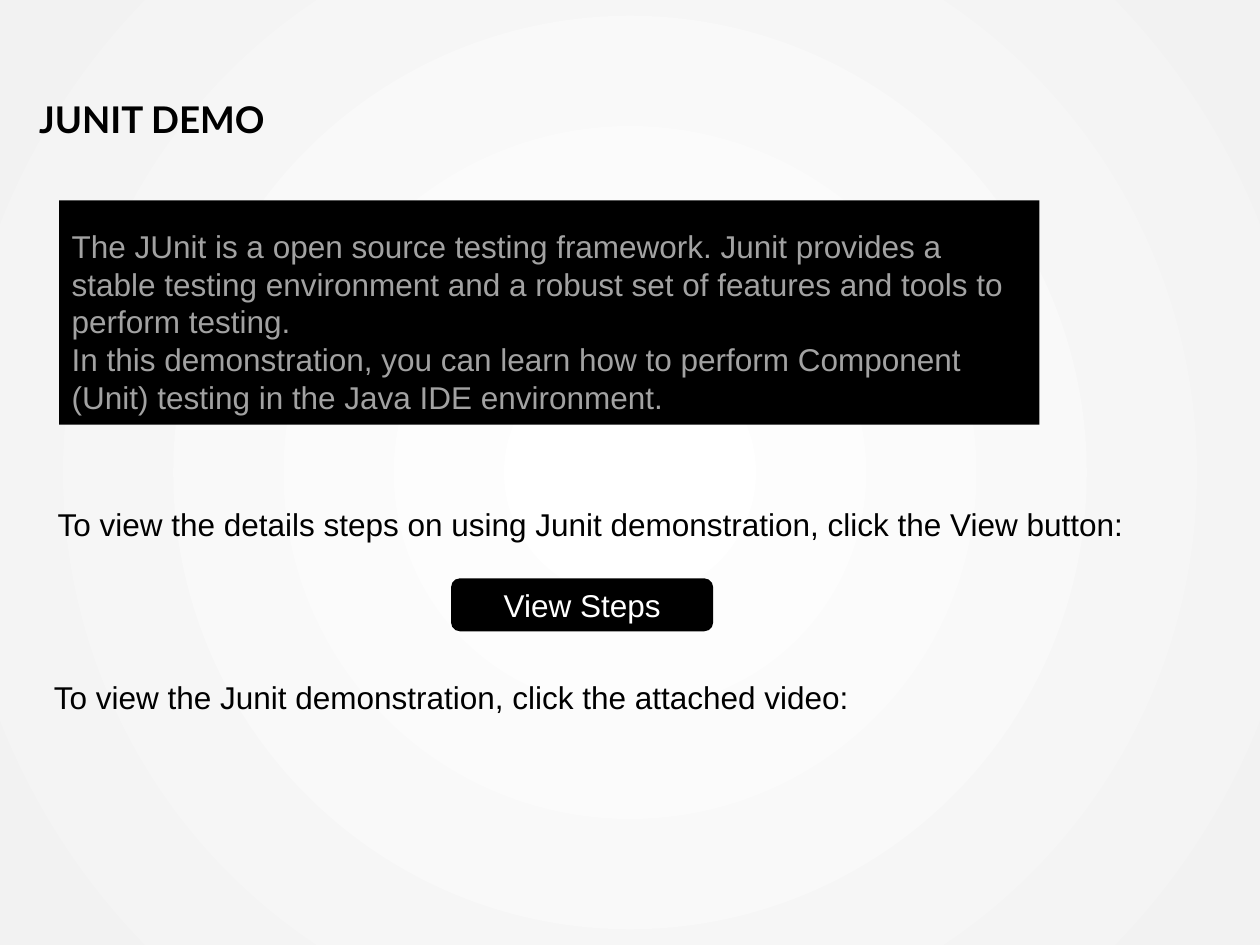
from lxml.etree import SubElement
from pptx import Presentation
from pptx.dml.color import RGBColor
from pptx.enum.shapes import MSO_SHAPE as Shape
from pptx.enum.text import MSO_ANCHOR as Anchor, MSO_AUTO_SIZE as AutoSize, PP_ALIGN as Align
from pptx.oxml.ns import qn
from pptx.util import Inches, Pt

BLACK = RGBColor(0x00, 0x00, 0x00)
WHITE = RGBColor(0xFF, 0xFF, 0xFF)
GREY = RGBColor(0xA2, 0xA2, 0xA2)
MIST = RGBColor(0xF2, 0xF2, 0xF2)
COLUMNS, ROWS = 100, 75
TITLE_ONLY = 5

INTRO = [
    "The JUnit is a open source testing framework. Junit provides a stable testing "
    "environment and a robust set of features and tools to perform testing.",
    "In this demonstration, you can learn how to perform Component (Unit) testing "
    "in the Java IDE environment.",
]


class DemoSlide:
    """Holds the style and the current slide, placing elements on a grid of 100 columns and 75 rows."""

    body_font, body_size = "Arial", 18
    title_font, title_size = "Lato", 21

    def __init__(self, deck):
        self.slide = deck.slides.add_slide(deck.slide_layouts[TITLE_ONLY])
        self.column = deck.slide_width / COLUMNS
        self.row = deck.slide_height / ROWS

    def area(self, left, top, columns, rows):
        return (
            round(left * self.column),
            round(top * self.row),
            round(columns * self.column),
            round(rows * self.row),
        )

    def backdrop(self, centre, edge):
        fill = self.slide.background.fill
        fill.gradient()
        for stop, color, position in zip(fill.gradient_stops, (centre, edge), (0.02, 1)):
            stop.color.rgb = color
            stop.position = position
        gradient = self.slide.element.find(".//" + qn("a:gradFill"))
        gradient.remove(gradient.find(qn("a:lin")))
        circle = SubElement(gradient, qn("a:path"), {"path": "circle"})
        SubElement(circle, qn("a:fillToRect"), dict.fromkeys("ltrb", "50000"))

    def add_lines(self, frame, lines, color, align=Align.LEFT, font=body_font, size=body_size, bold=False):
        frame.word_wrap = True
        for index, line in enumerate(lines):
            paragraph = frame.add_paragraph() if index else frame.paragraphs[0]
            paragraph.alignment = align
            run = paragraph.add_run()
            run.text = line
            run.font.name, run.font.size, run.font.bold = font, Pt(size), bold
            run.font.color.rgb = color

    def title(self, text, *cells):
        heading = self.slide.shapes.title
        heading.left, heading.top, heading.width, heading.height = self.area(*cells)
        frame = heading.text_frame
        frame.auto_size = AutoSize.NONE
        frame.vertical_anchor = Anchor.BOTTOM
        frame.margin_left = frame.margin_right = frame.margin_bottom = 0
        self.add_lines(frame, [text], BLACK, font=self.title_font, size=self.title_size, bold=True)
        frame.paragraphs[0].line_spacing = 0.7

    def prompt(self, text, *cells):
        frame = self.slide.shapes.add_textbox(*self.area(*cells)).text_frame
        self.add_lines(frame, [text], BLACK)
        frame.auto_size = AutoSize.SHAPE_TO_FIT_TEXT

    def block(self, kind, *cells):
        block = self.slide.shapes.add_shape(kind, *self.area(*cells))
        block.shadow.inherit = False
        block.fill.solid()
        block.fill.fore_color.rgb = BLACK
        block.line.fill.background()
        return block.text_frame

    def panel(self, lines, *cells):
        frame = self.block(Shape.RECTANGLE, *cells)
        frame.vertical_anchor = Anchor.TOP
        frame.margin_top = round(2.1 * self.row)
        self.add_lines(frame, lines, GREY)

    def button(self, text, *cells):
        frame = self.block(Shape.ROUNDED_RECTANGLE, *cells)
        frame.vertical_anchor = Anchor.MIDDLE
        self.add_lines(frame, [text], WHITE, Align.CENTER)


def main():
    deck = Presentation()
    deck.slide_width, deck.slide_height = Inches(10), Inches(7.5)
    demo = DemoSlide(deck)
    demo.backdrop(WHITE, MIST)
    demo.title("JUNIT DEMO", 3.1, 0, 93.8, 11.1)
    demo.prompt("To view the Junit demonstration, click the attached video:", 3.3, 53.3, 65.8, 4)
    demo.panel(INTRO, 4.7, 15.9, 77.8, 17.8)
    demo.prompt(
        "To view the details steps on using Junit demonstration, click the View button:",
        3.6, 39.6, 93, 4,
    )
    demo.button("View Steps", 35.8, 45.9, 20.8, 4.2)
    deck.save("out.pptx")


if __name__ == "__main__":
    main()
